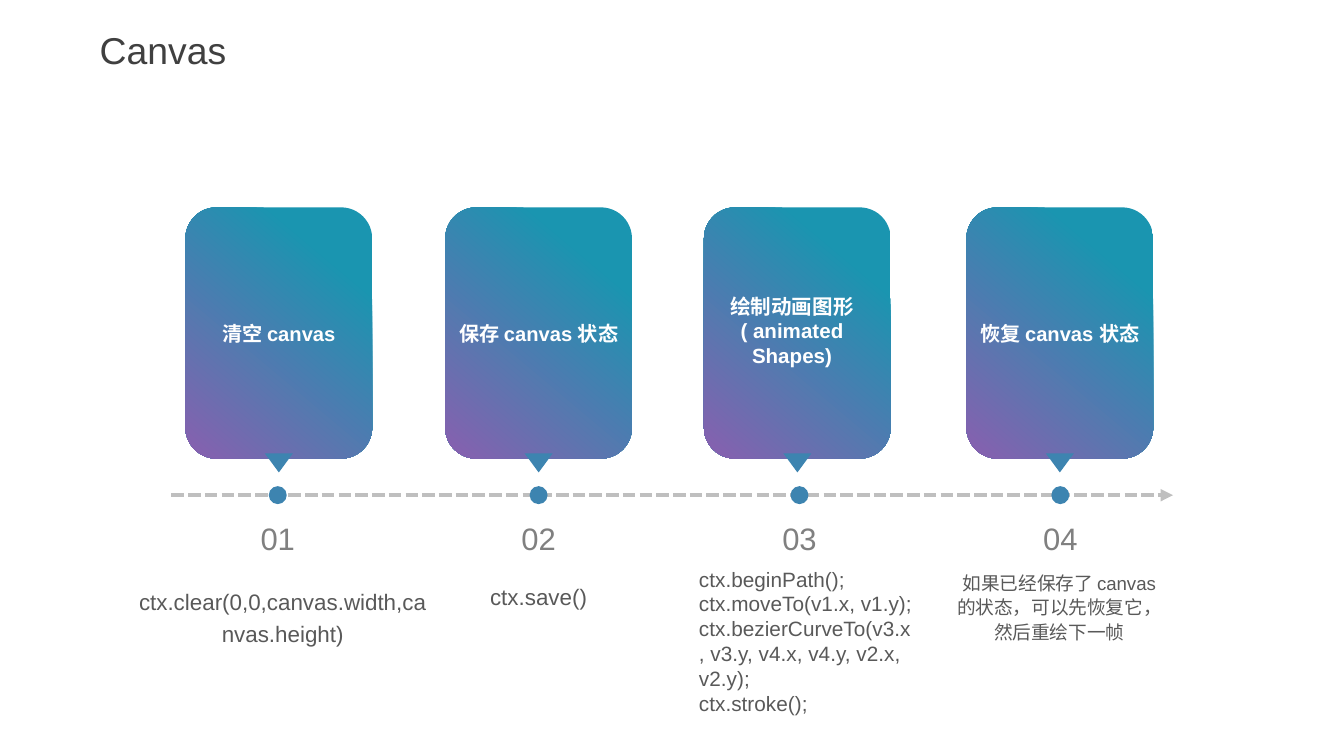
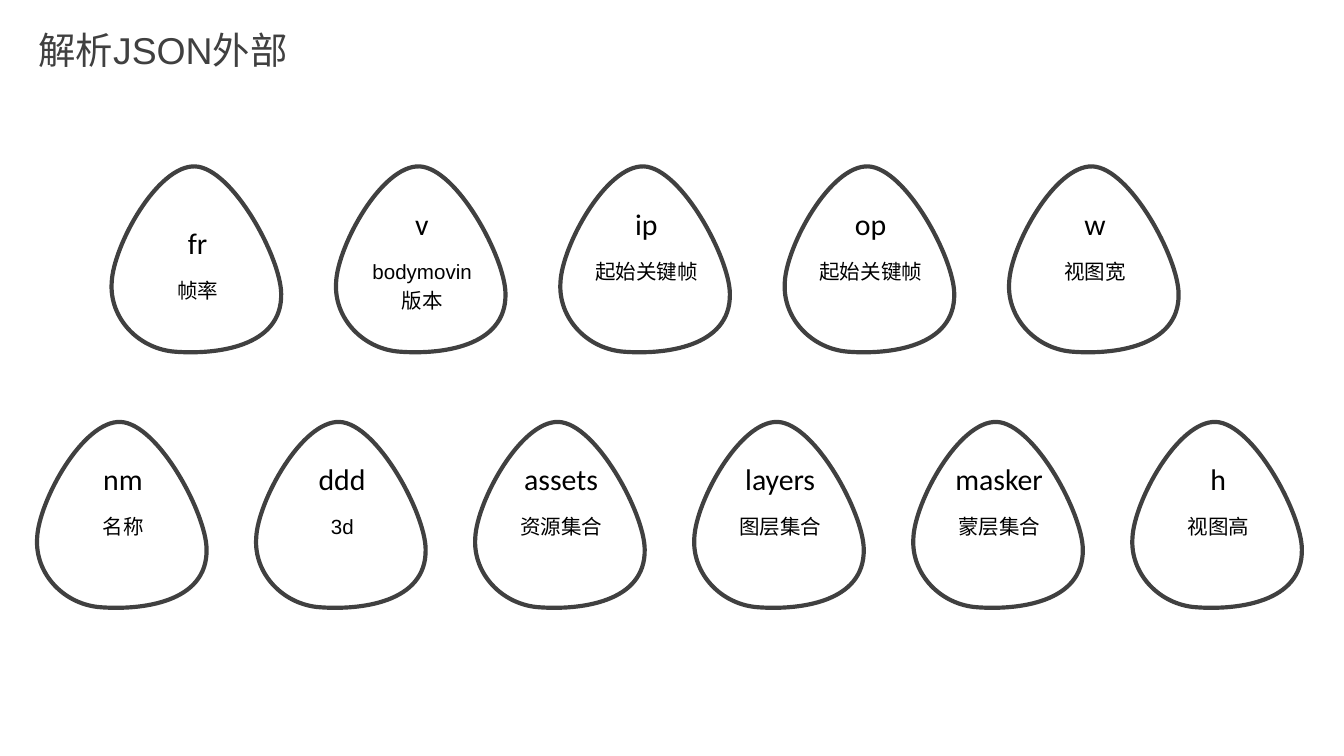
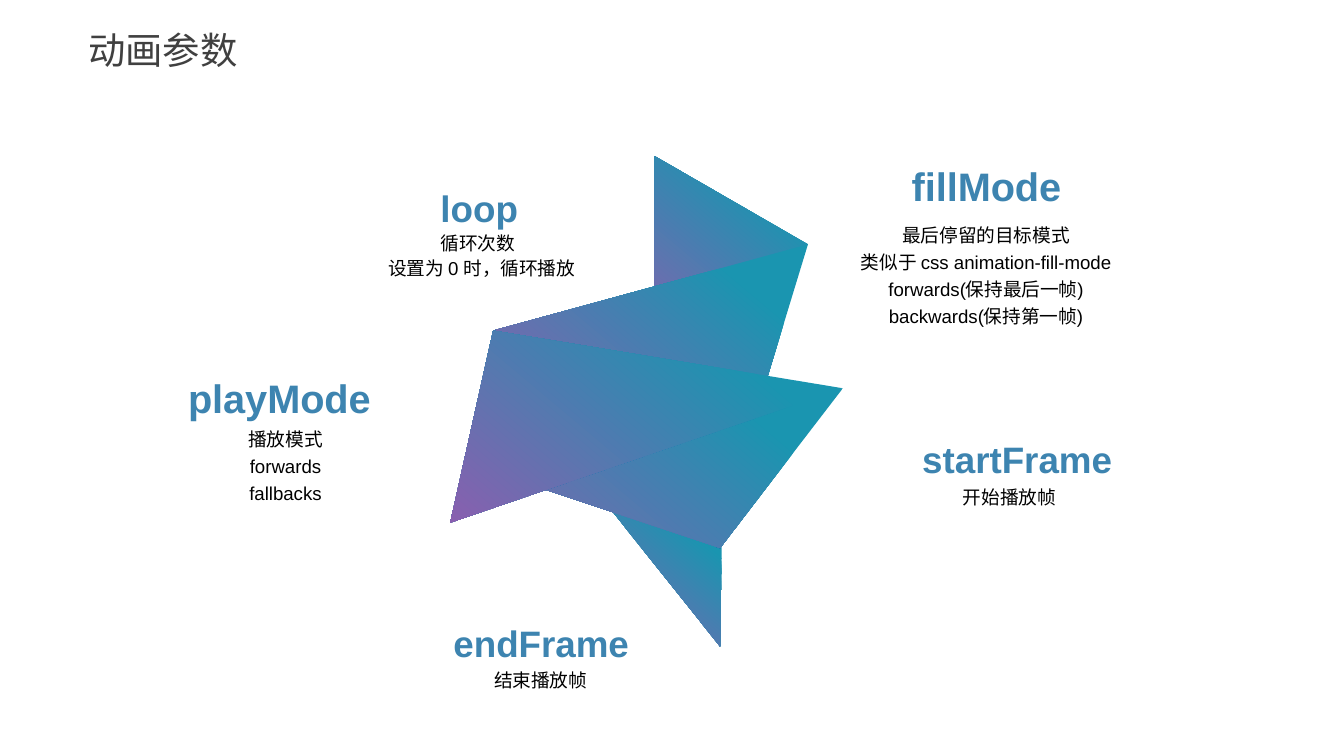
import dataclasses

import lxml.etree
import pptx
import pptx.dml.color
import pptx.enum.dml
import pptx.enum.shapes
import pptx.enum.text
import pptx.oxml.ns
import pptx.util

Cm = pptx.util.Cm
qn = pptx.oxml.ns.qn
SHAPE = pptx.enum.shapes.MSO_SHAPE
ALIGN = pptx.enum.text.PP_ALIGN
ANCHOR = pptx.enum.text.MSO_ANCHOR
rgb = pptx.dml.color.RGBColor.from_string


@dataclasses.dataclass(frozen=True)
class Theme:
    font: str = "Arial"
    key_font: str = "Calibri"
    ink: str = "404040"
    black: str = "000000"
    white: str = "FFFFFF"
    accent: str = "3D84B0"
    note: str = "595959"
    number: str = "808080"
    axis: str = "BFBFBF"
    gradient: tuple = ((0.21, "1A95B0"), (1.0, "895FAF"))
    gradient_angle: int = 230
    title_size: float = 20
    number_size: float = 16.6
    key_size: float = 16
    label_size: float = 11
    body_size: float = 10
    outline: float = 2.25


theme = Theme()


def write(sp, text, size=theme.body_size, color=theme.black, font=theme.font, bold=False,
          align=ALIGN.CENTER, anchor=ANCHOR.TOP, spacing=None, wrap=True, left=0, right=0):
    """Fill a shape with text, one paragraph per line."""
    tf = sp.text_frame
    tf.word_wrap = wrap
    tf.auto_size = pptx.enum.text.MSO_AUTO_SIZE.NONE
    tf.vertical_anchor = anchor
    tf.margin_left, tf.margin_right = Cm(left), Cm(right)
    tf.margin_top = tf.margin_bottom = 0
    for i, line in enumerate(text.split("\n")):
        p = tf.add_paragraph() if i else tf.paragraphs[0]
        p.alignment = align
        p.line_spacing = spacing
        r = p.add_run()
        r.text = line
        r.font.name, r.font.size, r.font.bold = font, pptx.util.Pt(size), bold
        r.font.color.rgb = rgb(color)


def paint(sp, fill=None, line=None):
    """Give a shape a plain fill, the theme gradient or no fill, and an outline."""
    sp.shadow.inherit = False
    if fill == "gradient":
        sp.fill.gradient()
        sp.fill.gradient_angle = theme.gradient_angle
        for stop, (position, color) in zip(sp.fill.gradient_stops, theme.gradient):
            stop.position = position
            stop.color.rgb = rgb(color)
    elif fill:
        sp.fill.solid()
        sp.fill.fore_color.rgb = rgb(fill)
    else:
        sp.fill.background()
    if line:
        sp.line.color.rgb = rgb(line)
        sp.line.width = pptx.util.Pt(theme.outline)
    else:
        sp.line.fill.background()


prs = pptx.Presentation()
prs.slide_width, prs.slide_height = Cm(25.4), Cm(14.29)

# Slides and their titles
slides = []
for title in ("Canvas", "解析JSON外部", "动画参数"):
    s = prs.slides.add_slide(prs.slide_layouts[5])
    sp = s.shapes.title
    sp.left, sp.top, sp.width, sp.height = Cm(-0.5), Cm(0.34), Cm(7.16), Cm(1.19)
    write(sp, title, size=theme.title_size, color=theme.ink, anchor=ANCHOR.MIDDLE, wrap=False)
    slides.append(s)
canvas, outer_json, parameters = slides

# Slide 1: dashed time axis
s = canvas
axis_y = 9.36
axis = s.shapes.add_connector(pptx.enum.shapes.MSO_CONNECTOR.STRAIGHT,
                              Cm(3.24), Cm(axis_y), Cm(22.17), Cm(axis_y))
axis.line.color.rgb = rgb(theme.axis)
axis.line.width = pptx.util.Pt(theme.outline)
axis.line.dash_style = pptx.enum.dml.MSO_LINE.SQUARE_DOT
spPr = axis._element.spPr
lxml.etree.SubElement(spPr.find(qn("a:ln")), qn("a:tailEnd"), type="triangle")
lxml.etree.SubElement(spPr, qn("a:effectLst"))

# Slide 1: steps, each with a card, pointer, dot, number and note
# (card center, label, label size, label center and top, note, note box, note format)
steps = (
    (5.27, "清空 canvas", 10.8, (5.27, 5.04), "ctx.clear(0,0,canvas.width,canvas.height)",
     (2.54, 10.5, 5.61, 2.24), dict(size=12, spacing=1.2)),
    (10.18, "保存 canvas 状态", 10.8, (10.18, 5.04), "ctx.save()",
     (8.16, 10.52, 4.04, 1.42), dict(size=12, spacing=1.2)),
    (15.07, "绘制动画图形\n( animated\nShapes)", 11, (14.97, 4.98),
     "ctx.beginPath();\nctx.moveTo(v1.x, v1.y);\n"
     "ctx.bezierCurveTo(v3.x, v3.y, v4.x, v4.y, v2.x, v2.y);\nctx.stroke();",
     (13.21, 10.76, 4.04, 2.71), dict(size=11.1, align=ALIGN.LEFT)),
    (20.03, "恢复 canvas 状态", 10.8, (20.03, 5.04),
     "如果已经保存了 canvas 的状态，可以先恢复它，然后重绘下一帧",
     (18, 10.75, 4.04, 1.42), dict(spacing=1.1)),
)
for i, (card_x, label, label_size, label_at, note, note_box, note_format) in enumerate(steps):
    dot_x = 5.25 + 4.93 * i
    for kind, center, width, height, top, fill in (
            (SHAPE.ROUNDED_RECTANGLE, card_x, 3.53, 4.75, 3.92, "gradient"),
            (SHAPE.ISOSCELES_TRIANGLE, card_x, 0.53, 0.36, 8.57, theme.accent),
            (SHAPE.OVAL, dot_x, 0.34, 0.34, axis_y - 0.17, theme.accent)):
        sp = s.shapes.add_shape(kind, Cm(center - width / 2), Cm(top), Cm(width), Cm(height))
        paint(sp, fill)
        if kind == SHAPE.ISOSCELES_TRIANGLE:
            sp.rotation = 180
    label_x, label_top = label_at
    sp = s.shapes.add_textbox(Cm(label_x - 1.32), Cm(label_top), Cm(2.64), Cm(2.54))
    write(sp, label, size=label_size, color=theme.white, bold=True,
          anchor=ANCHOR.MIDDLE, wrap=False)
    sp = s.shapes.add_textbox(Cm(dot_x - 0.28), Cm(9.86), Cm(0.56), Cm(0.64))
    write(sp, f"{i + 1:02}", size=theme.number_size, color=theme.number,
          anchor=ANCHOR.MIDDLE, wrap=False)
    sp = s.shapes.add_textbox(*map(Cm, note_box))
    write(sp, note, color=theme.note, anchor=ANCHOR.MIDDLE, **note_format)

# Slide 2: pebble outline, a start point and four Bezier curves of three points
s = outer_json
pebble = (
    (0.17, 2.72),
    (0.32, 3.39), (1.03, 3.79), (1.71, 3.63),
    (2.43, 3.47), (3.61, 2.98), (3.3, 2.01),
    (3.1, 1.36), (1.74, 0), (1.05, 0.17),
    (0.36, 0.35), (0, 2.05), (0.17, 2.72),
)

# Slide 2: two rows of JSON keys (left, top, pitch, keys)
rows = (
    (2.11, 3.12, 4.24, (("fr", "帧率"), ("v", "bodymovin 版本"), ("ip", "起始关键帧"),
                        ("op", "起始关键帧"), ("w", "视图宽"))),
    (0.7, 7.95, 4.14, (("nm", "名称"), ("ddd", "3d"), ("assets", "资源集合"),
                       ("layers", "图层集合"), ("masker", "蒙层集合"), ("h", "视图高"))),
)
for left, top, pitch, keys in rows:
    for i, (key, meaning) in enumerate(keys):
        x = left + pitch * i
        points = [(Cm(x + dx), Cm(top + dy)) for dx, dy in pebble]
        builder = s.shapes.build_freeform(*points[0])
        builder.add_line_segments(points[1:], close=True)
        sp = builder.convert_to_shape()
        outline = sp._element.find(".//" + qn("a:path"))
        segments = outline.findall(qn("a:lnTo"))
        for n in range(0, len(segments), 3):
            curve = lxml.etree.Element(qn("a:cubicBezTo"))
            segments[n].addprevious(curve)
            for segment in segments[n:n + 3]:
                curve.append(segment[0])
                outline.remove(segment)
        sp.rotation = 16.7
        paint(sp, line=theme.ink)

        text_top = top + (0.36 if key == "fr" else 0)
        sp = s.shapes.add_textbox(Cm(x + 0.81), Cm(text_top + 0.72), Cm(1.63), Cm(0.76))
        write(sp, key, size=theme.key_size, font=theme.key_font,
              anchor=ANCHOR.MIDDLE, wrap=False)
        meaning_height = 0.64 if key == "fr" else 1.32
        sp = s.shapes.add_textbox(Cm(x + 0.51), Cm(text_top + 1.68), Cm(2.24),
                                  Cm(meaning_height))
        write(sp, meaning, size=theme.label_size, spacing=1.2)

# Slide 3: folded ribbon, from back to front
s = parameters
folds = (
    ((13.64, 10.34), (11.48, 9.55), (13.61, 12.22)),
    ((12.37, 2.95), (15.27, 4.62), (12.37, 6.76)),
    ((14.27, 7.9), (15.27, 4.62), (9.32, 6.25)),
    ((13.61, 10.36), (15.93, 7.34), (8.76, 8.74)),
    ((15.93, 7.34), (8.51, 9.88), (9.32, 6.25)),
)
for fold in folds:
    points = [(Cm(x), Cm(y)) for x, y in fold]
    builder = s.shapes.build_freeform(*points[0])
    builder.add_line_segments(points[1:], close=True)
    paint(builder.convert_to_shape(), "gradient")

# Slide 3: parameters around the ribbon
# (name, size, name box, heading alignment, text, text box, text alignment, spacing)
labels = (
    ("loop", 19.7, (6.72, 3.51, 4.57, 0.69), ALIGN.RIGHT,
     "循环次数\t\n设置为 0 时，循环播放", (6.58, 4.34, 5.79, 0.97), ALIGN.RIGHT, 1.1),
    ("fillMode", 21.3, (15.73, 3.06, 4.57, 1.73), ALIGN.LEFT,
     "最后停留的目标模式\n类似于 css animation-fill-mode\nforwards(保持最后一帧)\nbackwards(保持第一帧)",
     (14.47, 4.15, 6.83, 3.81), ALIGN.CENTER, 1.2),
    ("playMode", 21.3, (3.94, 7.06, 4.57, 2.06), ALIGN.RIGHT,
     "播放模式\nforwards\nfallbacks", (4.15, 8, 3.99, 1.83), ALIGN.CENTER, 1.2),
    ("startFrame", 19.7, (15.93, 8.26, 4.57, 0.69), ALIGN.LEFT,
     "开始播放帧", (16.7, 9.1, 5.33, 1.52), ALIGN.LEFT, 1.2),
    ("endFrame", 19.7, (7.07, 11.73, 4.57, 0.69), ALIGN.LEFT,
     "结束播放帧", (7.84, 12.55, 5.33, 1.52), ALIGN.LEFT, 1.2),
)
for name, size, name_box, name_align, text, text_box, text_align, spacing in labels:
    inset = {"right" if name_align == ALIGN.RIGHT else "left": 1.5}
    sp = s.shapes.add_textbox(*map(Cm, name_box))
    write(sp, name, size=size, color=theme.accent, bold=True, align=name_align,
          wrap=False, **inset)
    sp = s.shapes.add_textbox(*map(Cm, text_box))
    write(sp, text, align=text_align, spacing=spacing, **inset)

prs.save("out.pptx")
